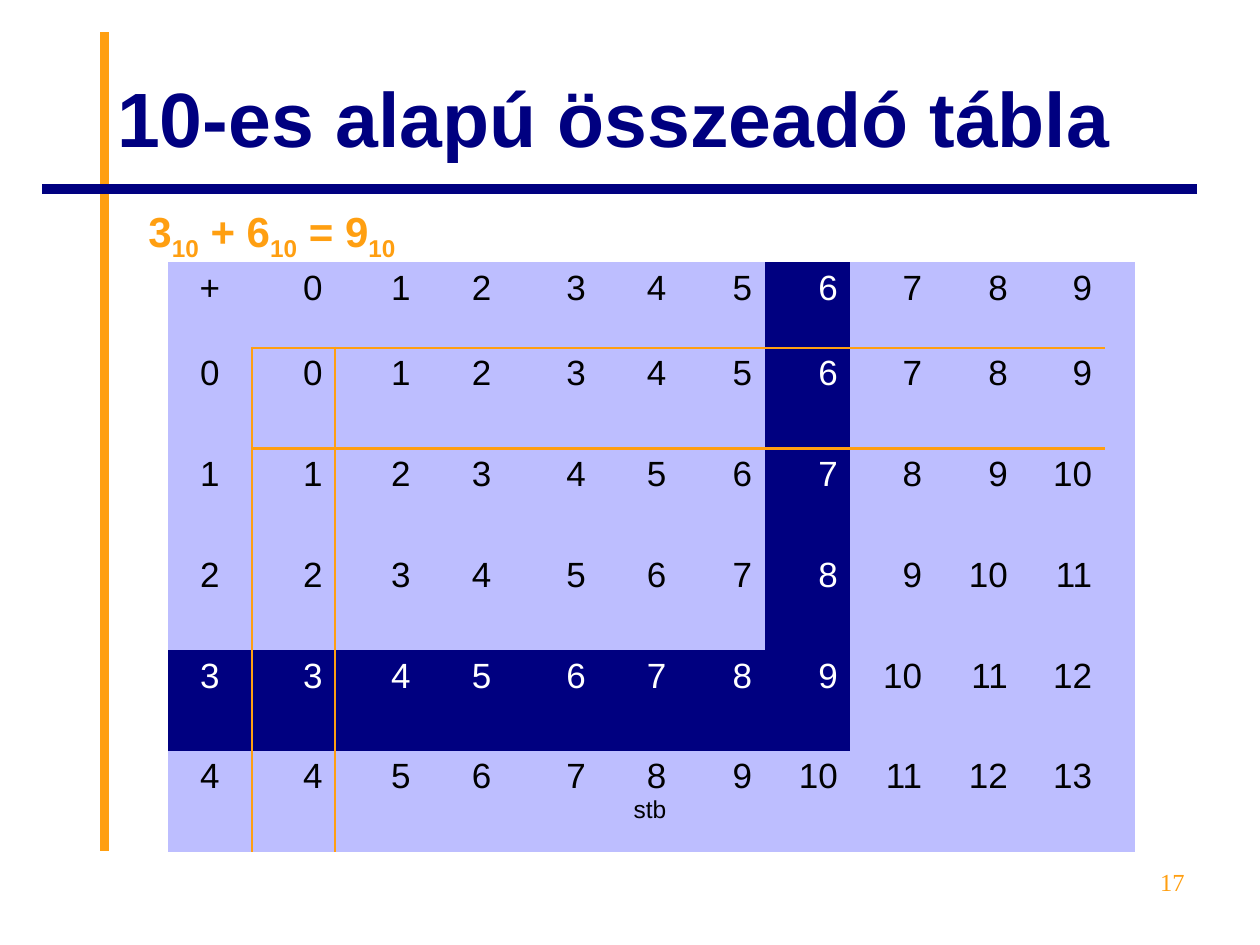
"""Build the slide with the base-10 addition table."""
from dataclasses import dataclass

import pptx
import pptx.dml.color
import pptx.enum.shapes
import pptx.enum.text
import pptx.oxml
import pptx.oxml.ns
import pptx.util

Inches = pptx.util.Inches
Pt = pptx.util.Pt
Align = pptx.enum.text.PP_ALIGN


@dataclass(frozen=True)
class Theme:
    navy: str = "000080"
    orange: str = "FF9F11"
    lilac: str = "BDBEFF"
    black: str = "000000"
    white: str = "FFFFFF"
    sans: str = "Arial"
    serif: str = "Times New Roman"
    title: int = 44
    equation: int = 24
    cell: int = 20
    small: int = 14
    rule: float = 5.5
    border: float = 1.47


THEME = Theme()
COLUMN_WIDTHS = [0.67, 0.66, 0.7, 0.64, 0.75, 0.64, 0.68, 0.68, 0.67, 0.68, 0.67, 0.24]
ROW_HEIGHTS = [0.68] + [0.8] * 5
DIGITS = 10
FIRST_ADDEND, SECOND_ADDEND = 3, 6
NO_STYLE = "{2D5ABB26-0587-4C30-8999-92F81FD0307C}"


def rgb(value):
    return pptx.dml.color.RGBColor.from_string(value)


def write(paragraph, text, size=THEME.cell, color=THEME.black, font=THEME.sans,
          bold=False, align=Align.LEFT, baseline=0):
    paragraph.alignment = align
    run = paragraph.add_run()
    run.text = text
    run.font.size = Pt(size)
    run.font.name = font
    run.font.bold = bold
    run.font.color.rgb = rgb(color)
    if baseline:
        run._r.get_or_add_rPr().set("baseline", str(baseline * 1000))


def add_rule(slide, start, end, color):
    rule = slide.shapes.add_connector(
        pptx.enum.shapes.MSO_CONNECTOR.STRAIGHT, *map(Inches, start + end))
    rule.line.color.rgb = rgb(color)
    rule.line.width = Pt(THEME.rule)
    rule._element.spPr.append(pptx.oxml.parse_xml(
        f'<a:effectLst {pptx.oxml.ns.nsdecls("a")}/>'))


def add_title(slide, text):
    title = slide.shapes.title
    title.left, title.top, title.width, title.height = map(Inches, (0.83, 0.3, 8.67, 1.25))
    title.text_frame.auto_size = pptx.enum.text.MSO_AUTO_SIZE.NONE
    title.text_frame.vertical_anchor = pptx.enum.text.MSO_ANCHOR.MIDDLE
    write(title.text_frame.paragraphs[0], text, size=THEME.title, color=THEME.navy, bold=True)


def add_text_line(slide, box):
    frame = slide.shapes.add_textbox(*map(Inches, box)).text_frame
    frame.word_wrap = True
    return frame.paragraphs[0]


def add_equation(slide):
    equation = add_text_line(slide, (1.08, 1.58, 2.58, 0.56))
    total = FIRST_ADDEND + SECOND_ADDEND
    for number in (f"{FIRST_ADDEND}", f" + {SECOND_ADDEND}", f" = {total}"):
        for text, baseline in ((number, 0), (str(DIGITS), -25)):
            write(equation, text, size=THEME.equation, color=THEME.orange,
                  bold=True, baseline=baseline)


def add_border(cell, side):
    cell._tc.get_or_add_tcPr().append(pptx.oxml.parse_xml(
        f'<a:ln{side} {pptx.oxml.ns.nsdecls("a")} w="{Pt(THEME.border)}">'
        f'<a:solidFill><a:srgbClr val="{THEME.orange}"/></a:solidFill></a:ln{side}>'))


def cell_text(row, column):
    if row == 0 and column == 0:
        return "+"
    return str(max(row - 1, 0) + max(column - 1, 0))


def fill_cell(cell, row, column):
    has_number = column <= DIGITS
    sum_row, sum_column = FIRST_ADDEND + 1, SECOND_ADDEND + 1
    on_path = (row == sum_row and column <= sum_column
               or column == sum_column and row <= sum_row)
    borders = {"L": column == 1 and row > 0, "R": column == 0 and row > 0,
               "T": row == 1 and 0 < column <= DIGITS,
               "B": row == 0 and 0 < column <= DIGITS}
    for side, shown in borders.items():
        if shown:
            add_border(cell, side)
    cell.fill.solid()
    cell.fill.fore_color.rgb = rgb(THEME.navy if on_path else THEME.lilac)
    if has_number:
        write(cell.text_frame.paragraphs[0], cell_text(row, column),
              color=THEME.white if on_path else THEME.black,
              align=Align.RIGHT if column else Align.CENTER)


def add_sum_table(slide):
    table = slide.shapes.add_table(
        len(ROW_HEIGHTS), len(COLUMN_WIDTHS), Inches(1.33), Inches(2.08),
        Inches(sum(COLUMN_WIDTHS)), Inches(sum(ROW_HEIGHTS))).table
    table.first_row = table.horz_banding = False
    table._tbl.tblPr.find(pptx.oxml.ns.qn("a:tableStyleId")).text = NO_STYLE
    for column, width in zip(table.columns, COLUMN_WIDTHS):
        column.width = Inches(width)
    for row, height in enumerate(ROW_HEIGHTS):
        table.rows[row].height = Inches(height)
        for column in range(len(COLUMN_WIDTHS)):
            fill_cell(table.cell(row, column), row, column)
    write(table.cell(5, 5).text_frame.paragraphs[0], " stb",
          size=THEME.small, align=Align.RIGHT)


def main():
    deck = pptx.Presentation()
    deck.slide_width, deck.slide_height = Inches(10), Inches(7.5)
    slide = deck.slides.add_slide(deck.slide_layouts[5])
    add_rule(slide, (0.83, 6.75), (0.83, 0.25), THEME.orange)
    add_rule(slide, (9.5, 1.5), (0.33, 1.5), THEME.navy)
    add_title(slide, "10-es alapú összeadó tábla")
    add_sum_table(slide)
    add_equation(slide)
    write(add_text_line(slide, (7.17, 6.83, 2.33, 0.52)), "17", size=THEME.small,
          color=THEME.orange, font=THEME.serif, align=Align.RIGHT)
    deck.save("out.pptx")


if __name__ == "__main__":
    main()
